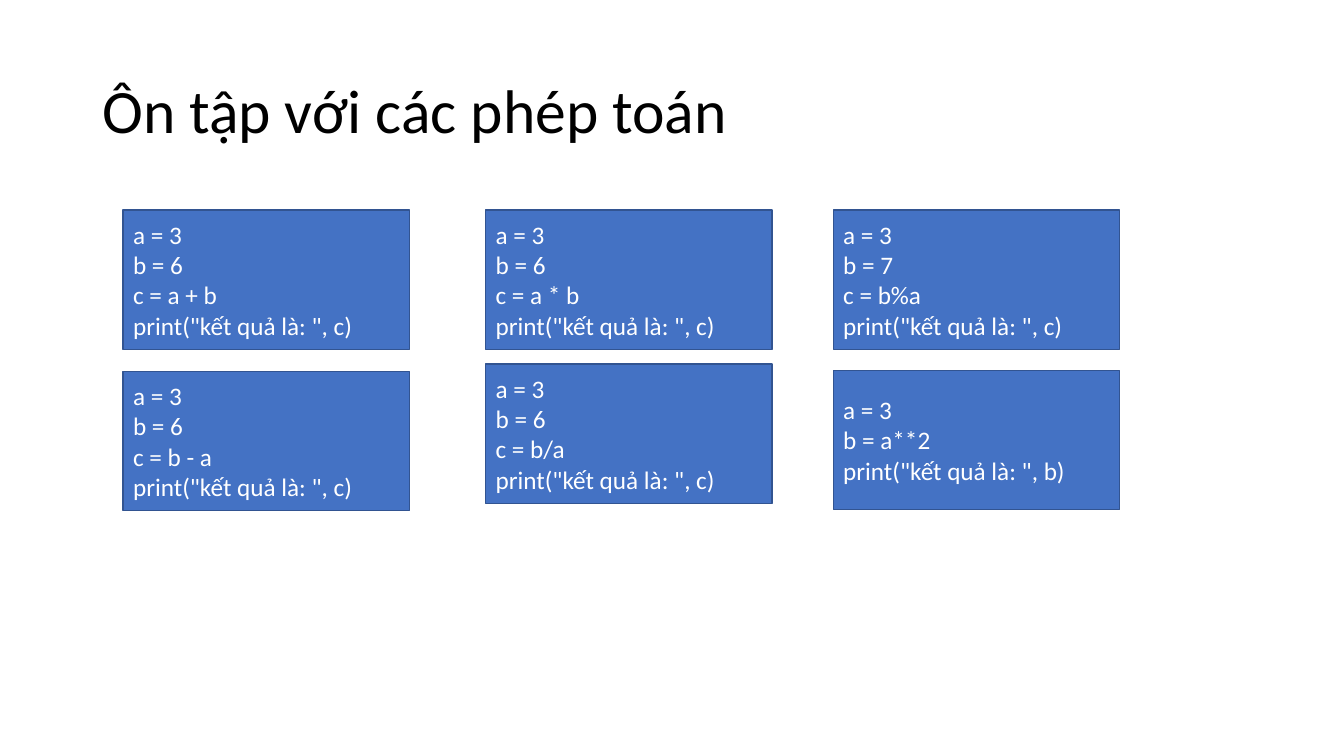
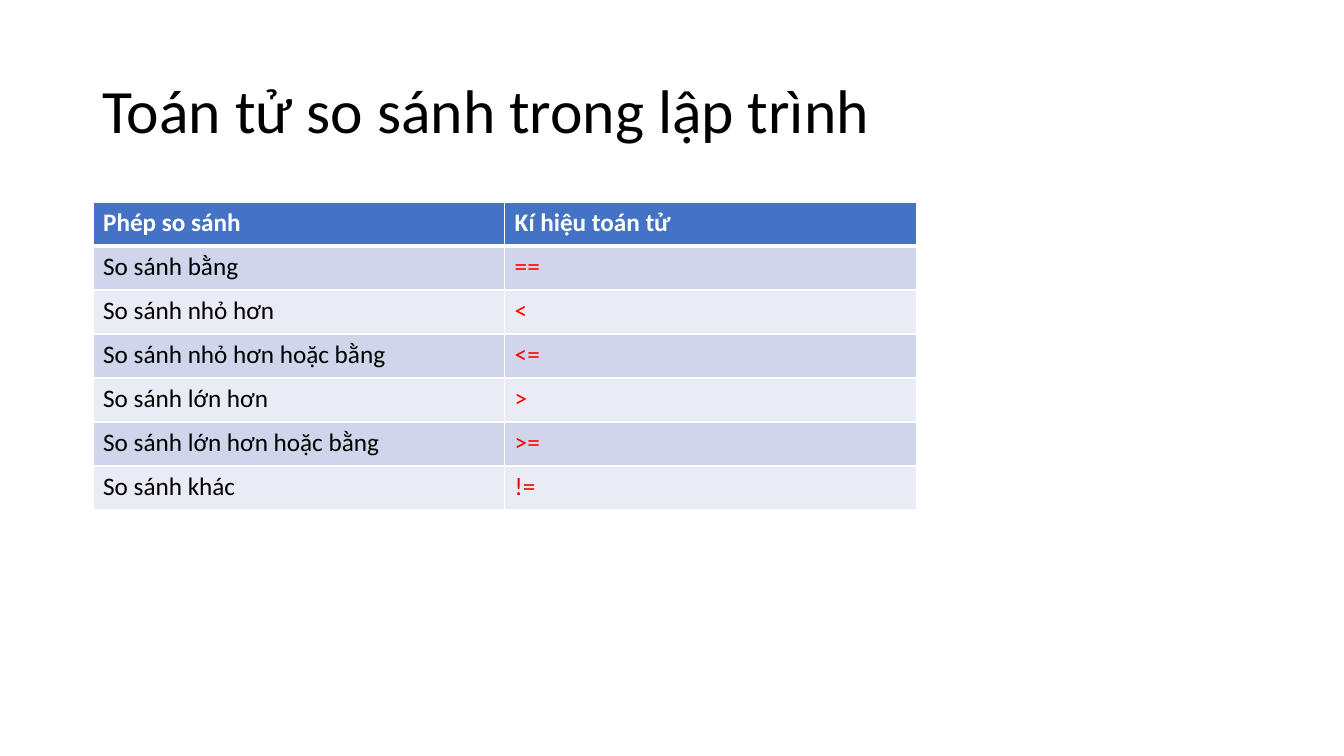
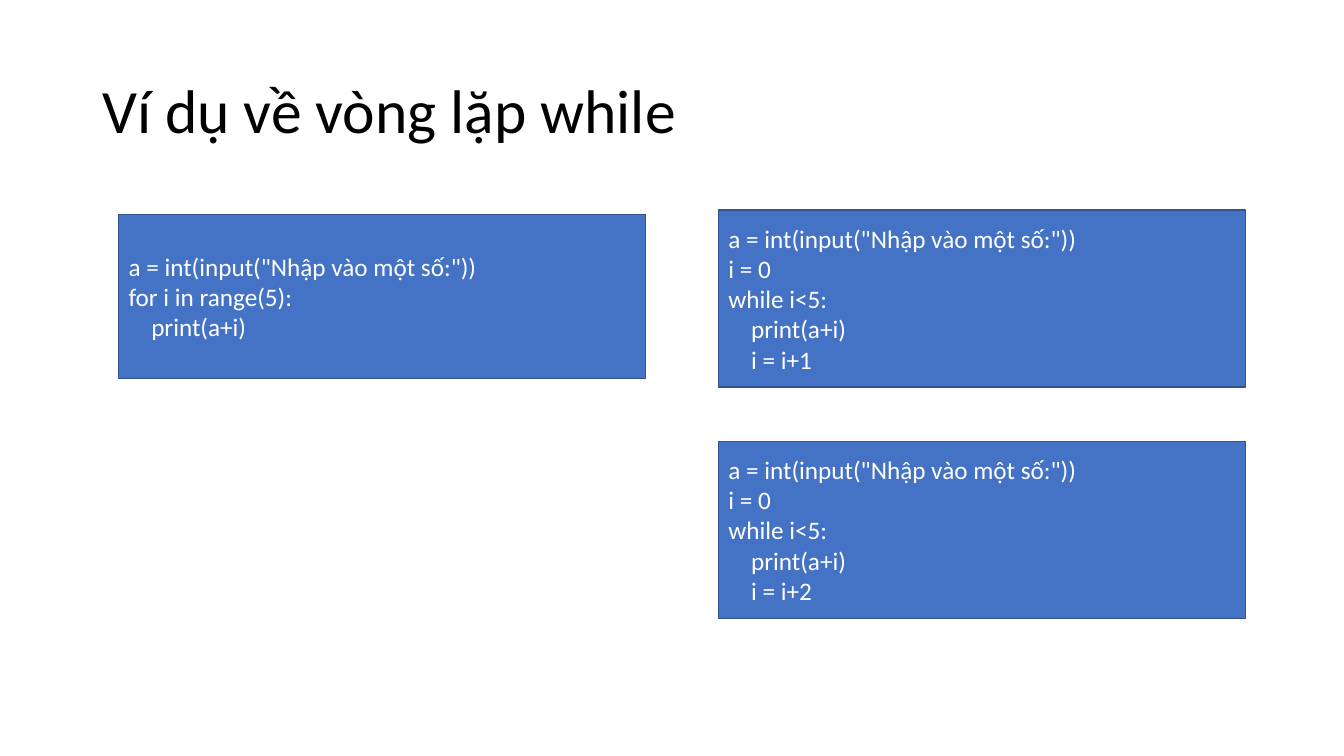
import pptx
import pptx.dml.color
import pptx.enum.shapes
import pptx.enum.text
import pptx.oxml
import pptx.oxml.ns
import pptx.util

Pt = pptx.util.Pt
ALIGN = pptx.enum.text.PP_ALIGN
ANCHOR = pptx.enum.text.MSO_ANCHOR

# Shared style
FONT = "Calibri"
BLACK, WHITE, RED = "000000", "FFFFFF", "FF0000"
BLUE, DARK_BLUE = "4472C4", "325491"
BANDS = ("CFD5EA", "E9EBF5")
TITLE = {"size": Pt(44), "color": BLACK}
CODE = {"size": Pt(18), "color": WHITE}
HEADER = {"size": Pt(18), "color": WHITE, "bold": True}
LABEL = {"size": Pt(18), "color": BLACK}
SYMBOL = {"size": Pt(18), "color": RED}


def rgb(value):
    return pptx.dml.color.RGBColor.from_string(value)


class Lesson:
    """Holds the deck, its style and the current page."""

    def __init__(self):
        self.deck = pptx.Presentation()
        self.deck.slide_width, self.deck.slide_height = Pt(960), Pt(540)
        self.page = None

    def fill_text(self, frame, lines, style, line_spacing=1.0):
        frame.word_wrap = True
        for index, line in enumerate(lines):
            para = frame.paragraphs[0] if index == 0 else frame.add_paragraph()
            para.alignment = ALIGN.LEFT
            para.line_spacing = line_spacing
            span = para.add_run()
            span.text = line
            span.font.name = FONT
            for name, value in style.items():
                if name == "color":
                    span.font.color.rgb = rgb(value)
                else:
                    setattr(span.font, name, value)

    def add_page(self, title):
        self.page = self.deck.slides.add_slide(self.deck.slide_layouts[6])
        box = self.page.shapes.add_textbox(Pt(66), Pt(28.75), Pt(828), Pt(104.4))
        box.text_frame.vertical_anchor = ANCHOR.MIDDLE
        self.fill_text(box.text_frame, [title], TITLE, 0.9)

    def add_code(self, left, top, width, height, code):
        box = self.page.shapes.add_shape(
            pptx.enum.shapes.MSO_SHAPE.RECTANGLE,
            Pt(left), Pt(top), Pt(width), Pt(height))
        box.shadow.inherit = False
        box.fill.solid()
        box.fill.fore_color.rgb = rgb(BLUE)
        box.line.color.rgb = rgb(DARK_BLUE)
        box.line.width = Pt(1)
        box.text_frame.vertical_anchor = ANCHOR.MIDDLE
        self.fill_text(box.text_frame, code.split("\n"), CODE)

    def add_borders(self, cell, widths):
        for side, width in widths.items():
            cell._tc.get_or_add_tcPr().append(pptx.oxml.parse_xml(
                f'<a:ln{side} {pptx.oxml.ns.nsdecls("a")} w="{Pt(width)}">'
                f'<a:solidFill><a:srgbClr val="{WHITE}"/></a:solidFill>'
                f'</a:ln{side}>'))

    def add_table(self, left, top, column_width, row_height, rows):
        columns = len(rows[0])
        table = self.page.shapes.add_table(
            len(rows), columns, Pt(left), Pt(top),
            Pt(column_width * columns), Pt(row_height * len(rows))).table
        table.first_row = table.horz_banding = False
        for column in table.columns:
            column.width = Pt(column_width)
        for r, texts in enumerate(rows):
            table.rows[r].height = Pt(row_height)
            for c, text in enumerate(texts):
                cell = table.cell(r, c)
                # The edge under the header is thicker than the rest
                self.add_borders(cell, {"L": 1, "R": 1,
                                        "T": 3 if r == 1 else 1,
                                        "B": 3 if r == 0 else 1})
                cell.fill.solid()
                cell.fill.fore_color.rgb = rgb(BANDS[(r - 1) % 2] if r else BLUE)
                style = (LABEL, SYMBOL)[c] if r else HEADER
                self.fill_text(cell.text_frame, [text], style)


def main():
    lesson = Lesson()

    # Arithmetic: one column of two code boxes per pair of operators
    lesson.add_page("Ôn tập với các phép toán")
    show_c = 'print("kết quả là: ", c)'
    operations = [
        (88, 150, f"a = 3\nb = 6\nc = a + b\n{show_c}"),
        (347, 150, f"a = 3\nb = 6\nc = a * b\n{show_c}"),
        (347, 260, f"a = 3\nb = 6\nc = b/a\n{show_c}"),
        (88, 265.25, f"a = 3\nb = 6\nc = b - a\n{show_c}"),
        (595.25, 150, f"a = 3\nb = 7\nc = b%a\n{show_c}"),
        (595.25, 264.5, 'a = 3\nb = a**2\nprint("kết quả là: ", b)'),
    ]
    for left, top, code in operations:
        lesson.add_code(left, top, 204.5, 99.5, code)

    # Comparison operators
    lesson.add_page("Toán tử so sánh trong lập trình")
    lesson.add_table(66.5, 144.25, 294, 31.45, [
        ("Phép so sánh", "Kí hiệu toán tử"),
        ("So sánh bằng", "=="),
        ("So sánh nhỏ hơn", "<"),
        ("So sánh nhỏ hơn hoặc bằng", "<="),
        ("So sánh lớn hơn", ">"),
        ("So sánh lớn hơn hoặc bằng", ">="),
        ("So sánh khác", "!="),
    ])

    # A for loop beside two while loops with different steps
    lesson.add_page("Ví dụ về vòng lặp while")
    ask = 'a = int(input("Nhập vào một số:"))'
    lesson.add_code(84.75, 153.25, 376.5, 117,
                    f"{ask}\nfor i in range(5):\n    print(a+i)")
    for top, step in ((150, 1), (315.25, 2)):
        lesson.add_code(
            513.25, top, 376.5, 126.5,
            f"{ask}\ni = 0\nwhile i<5:\n    print(a+i)\n    i = i+{step}")

    lesson.deck.save("out.pptx")


if __name__ == "__main__":
    main()
